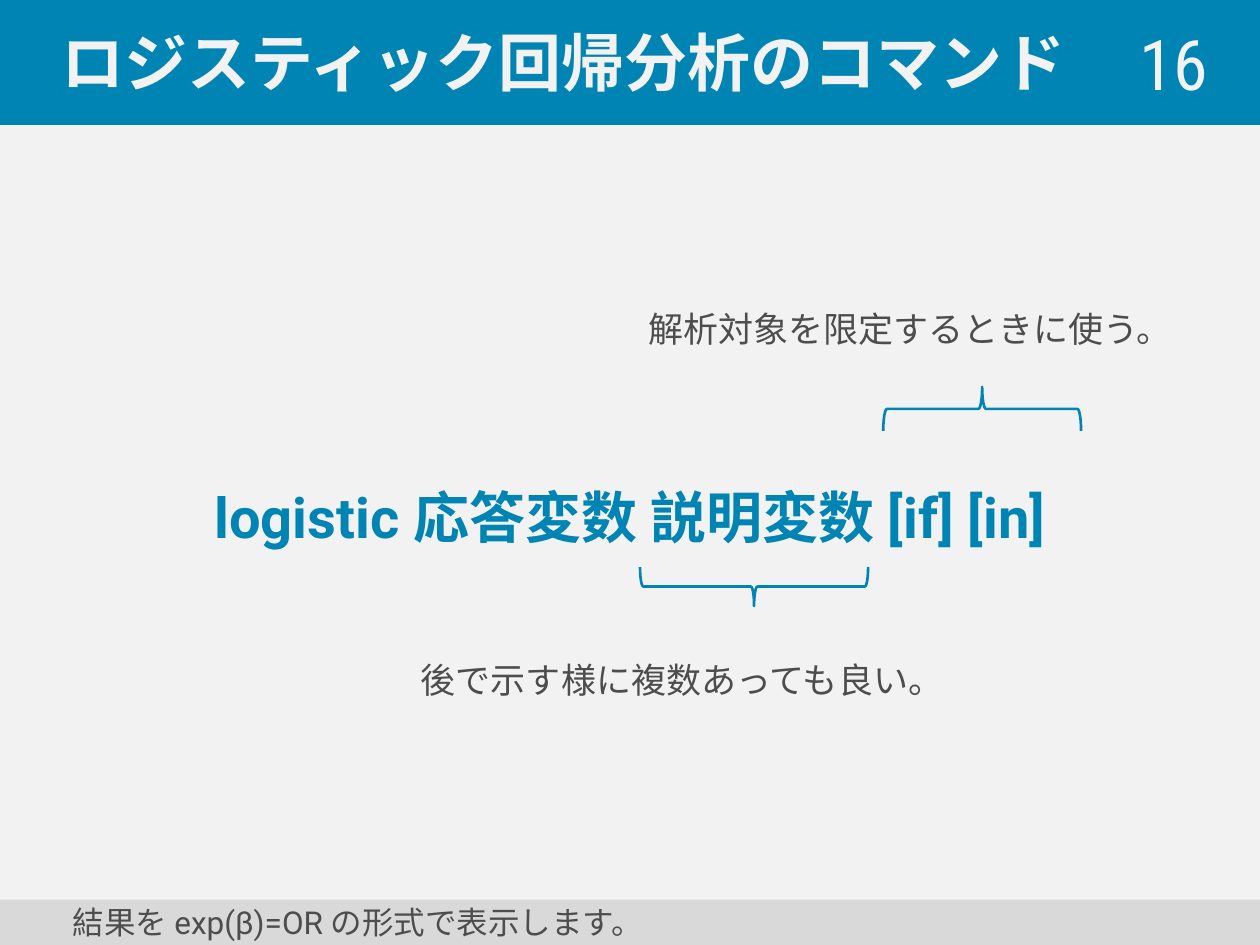
import pptx
import pptx.util
import pptx.dml.color
import pptx.enum.shapes
import pptx.enum.text
import pptx.oxml

Inches = pptx.util.Inches
Pt = pptx.util.Pt
ALIGN = pptx.enum.text.PP_ALIGN
SHAPE = pptx.enum.shapes.MSO_SHAPE

COLORS = {"blue": "0084B4", "page": "F2F2F2", "text": "4D4D4D", "footer": "D9D9D9"}
TITLE = {"name": "Calibri", "size": Pt(36), "bold": True}
NUMBER = {"name": "Roboto Condensed", "size": Pt(40), "bold": False}
NOTE = {"name": "Roboto", "size": Pt(20), "bold": False}
FOOTER = {"name": "Roboto", "size": Pt(18), "bold": False}
COMMAND = {"name": "Roboto", "size": Pt(32), "bold": True}


def rgb(key):
    return pptx.dml.color.RGBColor.from_string(COLORS[key])


def place(sp, box):
    for name, value in zip(("left", "top", "width", "height"), box):
        setattr(sp, name, Inches(value))


def paint(sp, fill, line=None):
    if fill:
        sp.fill.solid()
        sp.fill.fore_color.rgb = rgb(fill)
    else:
        sp.fill.background()
    if line:
        sp.line.color.rgb = rgb(line)
        sp.line.width = Pt(1.5)
    else:
        sp.line.fill.background()


def write(sp, text, font, color, align=ALIGN.LEFT, indent=0, spacing=1.0,
          anchor=pptx.enum.text.MSO_ANCHOR.MIDDLE):
    tf = sp.text_frame
    for name, value in {"word_wrap": True, "vertical_anchor": anchor,
                        "auto_size": pptx.enum.text.MSO_AUTO_SIZE.NONE}.items():
        setattr(tf, name, value)
    p = tf.paragraphs[0]
    for name, value in {"alignment": align, "line_spacing": spacing,
                        "space_before": Pt(0)}.items():
        setattr(p, name, value)
    pPr = p._p.get_or_add_pPr()
    pPr.set("marL", str(Inches(indent)))
    pPr.set("indent", "0")
    pPr.append(pptx.oxml.parse_xml(
        '<a:buNone xmlns:a="http://schemas.openxmlformats.org/drawingml/2006/main"/>'))
    r = p.add_run()
    r.text = text
    for name, value in font.items():
        setattr(r.font, name, value)
    r.font.color.rgb = rgb(color)


def add_text(s, box, *args, **kwargs):
    sp = s.shapes.add_textbox(*map(Inches, box))
    write(sp, *args, **kwargs)


def add_brace(s, box, rotation):
    sp = s.shapes.add_shape(SHAPE.LEFT_BRACE, *map(Inches, box))
    sp.shadow.inherit = False
    sp.rotation = rotation
    paint(sp, None, "blue")


def add_footer(s, text):
    sp = s.shapes.add_shape(SHAPE.RECTANGLE, *map(Inches, (0, 7.14, 10, 0.36)))
    sp.shadow.inherit = False
    paint(sp, "footer")
    write(sp, text, FOOTER, "text", indent=0.48)


def main():
    prs = pptx.Presentation()
    prs.slide_width, prs.slide_height = Inches(10), Inches(7.5)
    s = prs.slides.add_slide(prs.slide_layouts[1])
    s.background.fill.solid()
    s.background.fill.fore_color.rgb = rgb("page")

    title, body = s.placeholders
    place(title, (0, 0, 10, 0.98))
    paint(title, "blue", "blue")
    write(title, "ロジスティック回帰分析のコマンド", TITLE, "page", indent=0.39)
    place(body, (0.5, 1.23, 9, 5.47))
    write(body, "logistic 応答変数 説明変数 [if] [in]", COMMAND, "blue",
          align=ALIGN.CENTER, spacing=1.5)

    add_text(s, (7.76, 0.19, 1.93, 0.61), "16", NUMBER, "page", align=ALIGN.RIGHT)
    notes = [
        ((5.83, 3.75, 0.31, 1.81), 270, (3.11, 5.18), "後で示す様に複数あっても良い。"),
        ((7.62, 2.46, 0.35, 1.57), 90, (4.92, 2.39), "解析対象を限定するときに使う。"),
    ]
    for brace, rotation, corner, text in notes:
        add_brace(s, brace, rotation)
        add_text(s, (*corner, 4.33, 0.44), text, NOTE, "text", align=ALIGN.CENTER,
                 anchor=pptx.enum.text.MSO_ANCHOR.TOP)
    add_footer(s, "結果を exp(β)=OR の形式で表示します。")
    prs.save("out.pptx")


if __name__ == "__main__":
    main()
